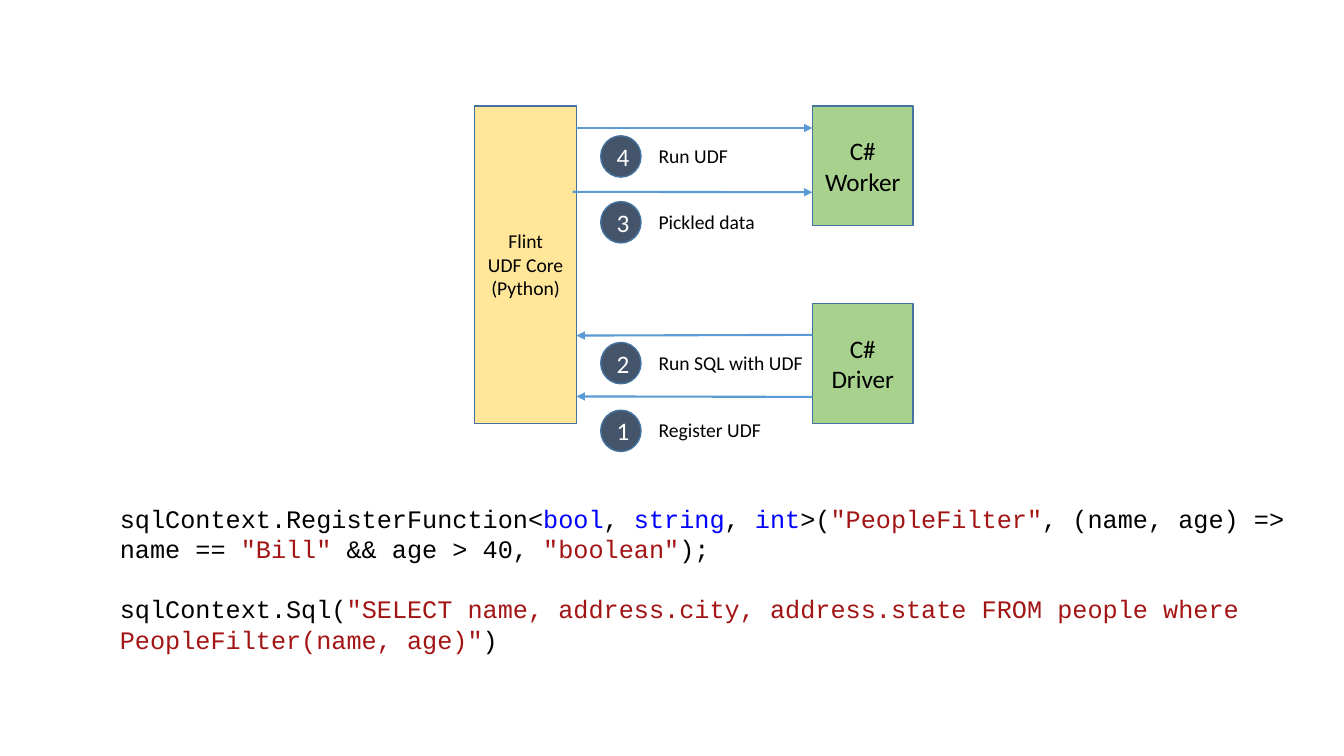
from dataclasses import dataclass
from typing import NamedTuple

from lxml.etree import SubElement
from pptx import Presentation
from pptx.dml.color import RGBColor
from pptx.enum.shapes import MSO_CONNECTOR as Connector, MSO_SHAPE as Preset
from pptx.enum.text import MSO_ANCHOR as Anchor, PP_ALIGN as Align
from pptx.oxml.ns import qn
from pptx.shapes.autoshape import Shape
from pptx.slide import Slide
from pptx.text.text import TextFrame
from pptx.util import Pt


@dataclass(frozen=True)
class Theme:
    """Colours, fonts and type sizes of the slide."""
    core: str = "FFE699"
    client: str = "A9D18E"
    badge: str = "44546A"
    outline: str = "43739E"
    arrow: str = "5B9BD5"
    ink: str = "000000"
    light: str = "FFFFFF"
    keyword: str = "0000FF"
    literal: str = "A31515"
    sans: str = "Calibri"
    mono: str = "Courier New"
    small: float = 14
    large: float = 18
    code_line: float = 21.6


class Block(NamedTuple):
    """A filled shape with centred lines of text."""
    lines: list[str]
    left: float
    top: float
    width: float
    height: float
    fill: str
    size: float
    color: str
    preset: Preset = Preset.RECTANGLE


class Step(NamedTuple):
    """A numbered call and its arrow."""
    number: int
    label: str
    top: float
    start: tuple[float, float]
    end: tuple[float, float]


class Span(NamedTuple):
    """A piece of text in one colour."""
    text: str
    color: str


THEME = Theme()
CORE_LEFT, CORE_RIGHT, CLIENT_LEFT = 339.1, 411.8, 580.3
CORE_TOP, CORE_HEIGHT = 75.6, 226.8
CLIENT_WIDTH, CLIENT_HEIGHT = 72, 85.7
BADGE_LEFT, BADGE_WIDTH, BADGE_HEIGHT = 429.1, 28.8, 29.5
LABEL_LEFT, LABEL_DROP, LABEL_WIDTH, LABEL_HEIGHT = 463.3, 2.2, 118, 24.2

BLOCKS = [
    Block(["Flint", "UDF Core", "(Python)"], CORE_LEFT, CORE_TOP,
          CORE_RIGHT - CORE_LEFT, CORE_HEIGHT, THEME.core, THEME.small, THEME.ink),
] + [
    Block(["C#", role], CLIENT_LEFT, top, CLIENT_WIDTH, CLIENT_HEIGHT,
          THEME.client, THEME.large, THEME.ink)
    for role, top in (("Worker", CORE_TOP),
                      ("Driver", CORE_TOP + CORE_HEIGHT - CLIENT_HEIGHT))
]

STEPS = [
    Step(1, "Register UDF", 293, (CLIENT_LEFT, 283.5), (CORE_RIGHT, 283.2)),
    Step(2, "Run SQL with UDF", 244.6, (CLIENT_LEFT, 239.2), (CORE_RIGHT, 239.7)),
    Step(3, "Pickled data", 144, (409, 137), (CLIENT_LEFT, 137.3)),
    Step(4, "Run UDF", 97, (CORE_RIGHT, 91.4), (CLIENT_LEFT, 91.4)),
]


def plain(text: str) -> Span:
    """Return a piece of ordinary code."""
    return Span(text, THEME.ink)


def keyword(text: str) -> Span:
    """Return a type keyword."""
    return Span(text, THEME.keyword)


def literal(text: str) -> Span:
    """Return a string literal."""
    return Span(text, THEME.literal)


CODE = [
    [plain("sqlContext.RegisterFunction<"), keyword("bool"), plain(", "),
     keyword("string"), plain(", "), keyword("int"), plain(">("),
     literal('"PeopleFilter"'), plain(", (name, age) => name == "),
     literal('"Bill"'), plain(" && age > 40, "), literal('"boolean"'), plain(");")],
    [plain("sqlContext.Sql("),
     literal('"SELECT name, address.city, address.state FROM people where '
             'PeopleFilter(name, age)"'), plain(")")],
]


def rgb(color: str) -> RGBColor:
    """Turn a hex string into a colour."""
    return RGBColor.from_string(color)


def write(frame: TextFrame, paragraphs: list[list[Span]], *, size: float,
          font: str = THEME.sans, align: Align = Align.LEFT,
          line: float | None = None, gap: float = 0) -> None:
    """Fill a frame with paragraphs of coloured spans."""
    for index, spans in enumerate(paragraphs):
        para = frame.add_paragraph() if index else frame.paragraphs[0]
        para.alignment = align
        if line:
            para.line_spacing = Pt(line)
        if index and gap:
            para.space_before = Pt(gap)
        for span in spans:
            run = para.add_run()
            run.text = span.text
            run.font.name, run.font.size = font, Pt(size)
            run.font.color.rgb = rgb(span.color)


def add_block(page: Slide, block: Block) -> Shape:
    """Draw a filled, outlined shape with its text."""
    box = page.shapes.add_shape(block.preset, Pt(block.left), Pt(block.top),
                                Pt(block.width), Pt(block.height))
    box.shadow.inherit = False
    box.fill.solid()
    box.fill.fore_color.rgb = rgb(block.fill)
    box.line.color.rgb = rgb(THEME.outline)
    box.line.width = Pt(1)
    box.text_frame.word_wrap = True
    box.text_frame.vertical_anchor = Anchor.MIDDLE
    write(box.text_frame, [[Span(text, block.color)] for text in block.lines],
          size=block.size, align=Align.CENTER)
    return box


def add_text_box(page: Slide, left: float, top: float, width: float,
                 height: float, wrap: bool) -> TextFrame:
    """Place an empty text box and return its frame."""
    box = page.shapes.add_textbox(Pt(left), Pt(top), Pt(width), Pt(height))
    box.text_frame.word_wrap = wrap
    return box.text_frame


def add_arrow(page: Slide, start: tuple[float, float],
              end: tuple[float, float]) -> None:
    """Draw a straight line with a triangle at its end."""
    arrow = page.shapes.add_connector(
        Connector.STRAIGHT, *(Pt(value) for value in (*start, *end)))
    arrow.line.color.rgb = rgb(THEME.arrow)
    arrow.line.width = Pt(1.5)
    SubElement(arrow.line._get_or_add_ln(), qn("a:tailEnd"), type="triangle")
    SubElement(arrow._element.spPr, qn("a:effectLst"))


def add_step(page: Slide, step: Step) -> None:
    """Draw the arrow, numbered badge and label of a step."""
    add_arrow(page, step.start, step.end)
    add_block(page, Block([str(step.number)], BADGE_LEFT, step.top, BADGE_WIDTH,
                          BADGE_HEIGHT, THEME.badge, THEME.large, THEME.light,
                          Preset.OVAL))
    frame = add_text_box(page, LABEL_LEFT, step.top + LABEL_DROP,
                         LABEL_WIDTH, LABEL_HEIGHT, wrap=True)
    frame.margin_right = 0
    write(frame, [[plain(step.label)]], size=THEME.small)


def main() -> None:
    """Build and save the slide."""
    deck = Presentation()
    deck.slide_width, deck.slide_height = Pt(960), Pt(540)
    page = deck.slides.add_slide(deck.slide_layouts[6])
    for block in BLOCKS:
        add_block(page, block)
    for step in STEPS:
        add_step(page, step)
    code = add_text_box(page, 78.5, 355.7, 865.4, 116.6, wrap=True)
    write(code, CODE, size=THEME.large, font=THEME.mono,
          line=THEME.code_line, gap=THEME.code_line)
    deck.save("out.pptx")


main()
